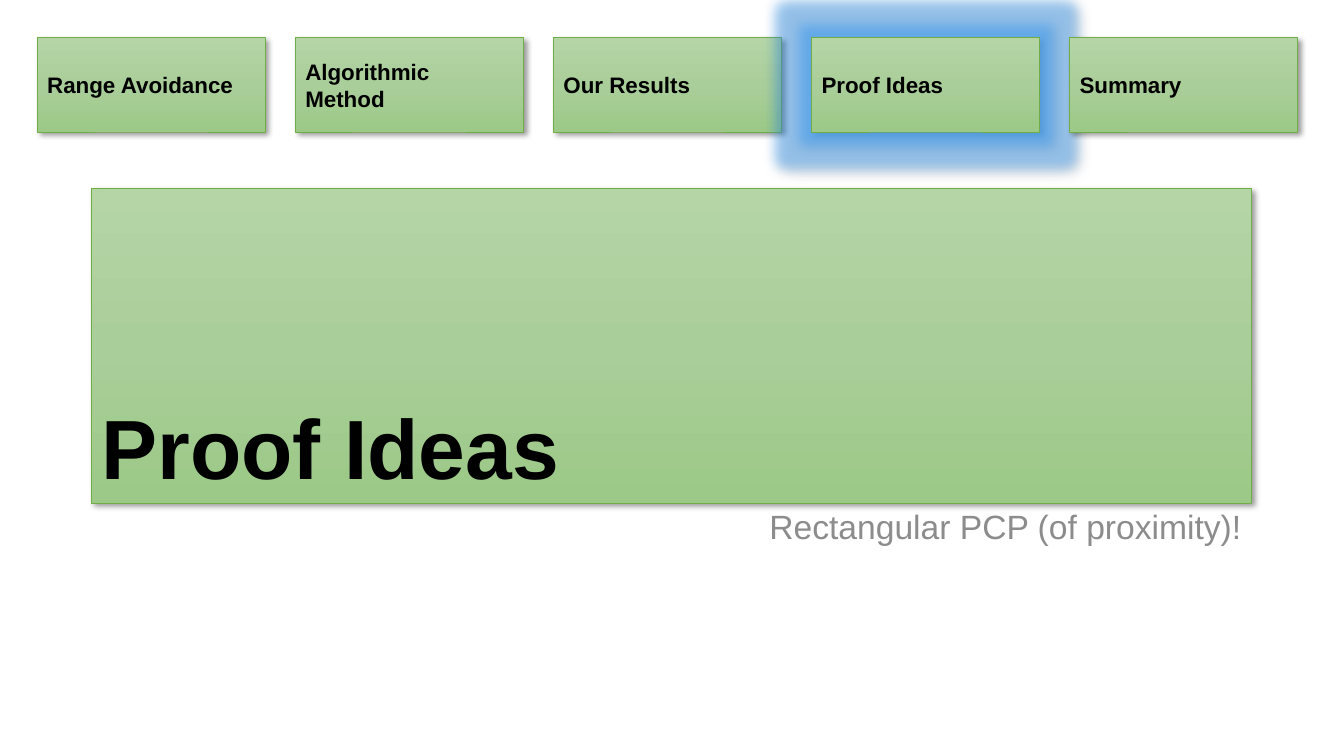
from copy import deepcopy

from lxml import etree
from pptx import Presentation
from pptx.dml.color import RGBColor
from pptx.enum import shapes, text
from pptx.oxml.ns import qn
from pptx.util import Inches, Pt

TABS = ["Range Avoidance", "Algorithmic Method", "Our Results",
        "Proof Ideas", "Summary"]
ACTIVE = 3
TITLE = "Proof Ideas"
NOTE = "Rectangular PCP (of proximity)!"

THEME = {
    "font": "Arial",
    "ink": "000000", "muted": "8C8C8C", "edge": "70AD47", "glow": "5B9BD5",
    "grad": [(0, "B5D5A7"), (0.5, "AACE9A"), (1, "9CC987")],
    "title": 60, "note": 24, "tab": 16,
}
TAB = {"left": 0.37, "top": 0.37, "step": 2.56, "width": 2.26, "height": 0.94}


def rgb(name):
    return RGBColor.from_string(THEME[name])


def effect(parent, tag, color, alpha, **attrs):
    """Append an effect and return its colour element."""
    node = etree.SubElement(parent, qn("a:" + tag), attrs)
    tint = etree.SubElement(node, qn("a:srgbClr"), val=color)
    etree.SubElement(tint, qn("a:alpha"), val=str(alpha * 1000))
    return tint


def write(frame, words, size, ink, bold=False, align=text.PP_ALIGN.LEFT):
    frame.word_wrap = True
    para = frame.paragraphs[0]
    para.alignment = align
    run = para.add_run()
    run.text = words
    run.font.name = THEME["font"]
    run.font.size = Pt(THEME[size])
    run.font.bold = bold
    run.font.color.rgb = rgb(ink)
    return para


def panel(slide, box, words, size, anchor, glow=False):
    """Add a green gradient box with a soft shadow and bold text."""
    rect = slide.shapes.add_shape(shapes.MSO_SHAPE.RECTANGLE,
                                  *map(Inches, box))
    rect.fill.gradient()
    rect.fill.gradient_angle = 270
    stops = rect._element.spPr.find(".//" + qn("a:gsLst"))
    stops.append(deepcopy(stops[0]))
    for stop, (place, color) in zip(rect.fill.gradient_stops, THEME["grad"]):
        stop.position = place
        stop.color.rgb = RGBColor.from_string(color)
    rect.line.color.rgb = rgb("edge")
    rect.line.width = Pt(0.5)

    rect.shadow.inherit = False
    effects = rect._element.spPr.find(qn("a:effectLst"))
    if glow:
        tint = effect(effects, "glow", THEME["glow"], 40, rad=str(Pt(18)))
        etree.SubElement(tint, qn("a:satMod"), val="175000")
    effect(effects, "outerShdw", THEME["ink"], 40, blurRad=str(Pt(4)),
           dist=str(Pt(3)), dir="2700000", algn="tl", rotWithShape="0")

    rect.text_frame.vertical_anchor = anchor
    return write(rect.text_frame, words, size, "ink", bold=True)


def main():
    deck = Presentation()
    deck.slide_width, deck.slide_height = Inches(13.33), Inches(7.5)
    slide = deck.slides.add_slide(deck.slide_layouts[6])

    head = panel(slide, (0.91, 1.87, 11.5, 3.12), TITLE, "title",
                 text.MSO_ANCHOR.BOTTOM)
    head.line_spacing = 0.9

    area = slide.shapes.add_textbox(*map(Inches, (0.91, 5.02, 11.5, 1.64)))
    note = write(area.text_frame, NOTE, "note", "muted",
                 align=text.PP_ALIGN.RIGHT)
    note.line_spacing = 0.9
    note.space_before = Pt(10)

    for i, name in enumerate(TABS):
        box = (TAB["left"] + i * TAB["step"], TAB["top"],
               TAB["width"], TAB["height"])
        panel(slide, box, name, "tab", text.MSO_ANCHOR.MIDDLE,
              glow=i == ACTIVE)

    deck.save("out.pptx")


if __name__ == "__main__":
    main()
